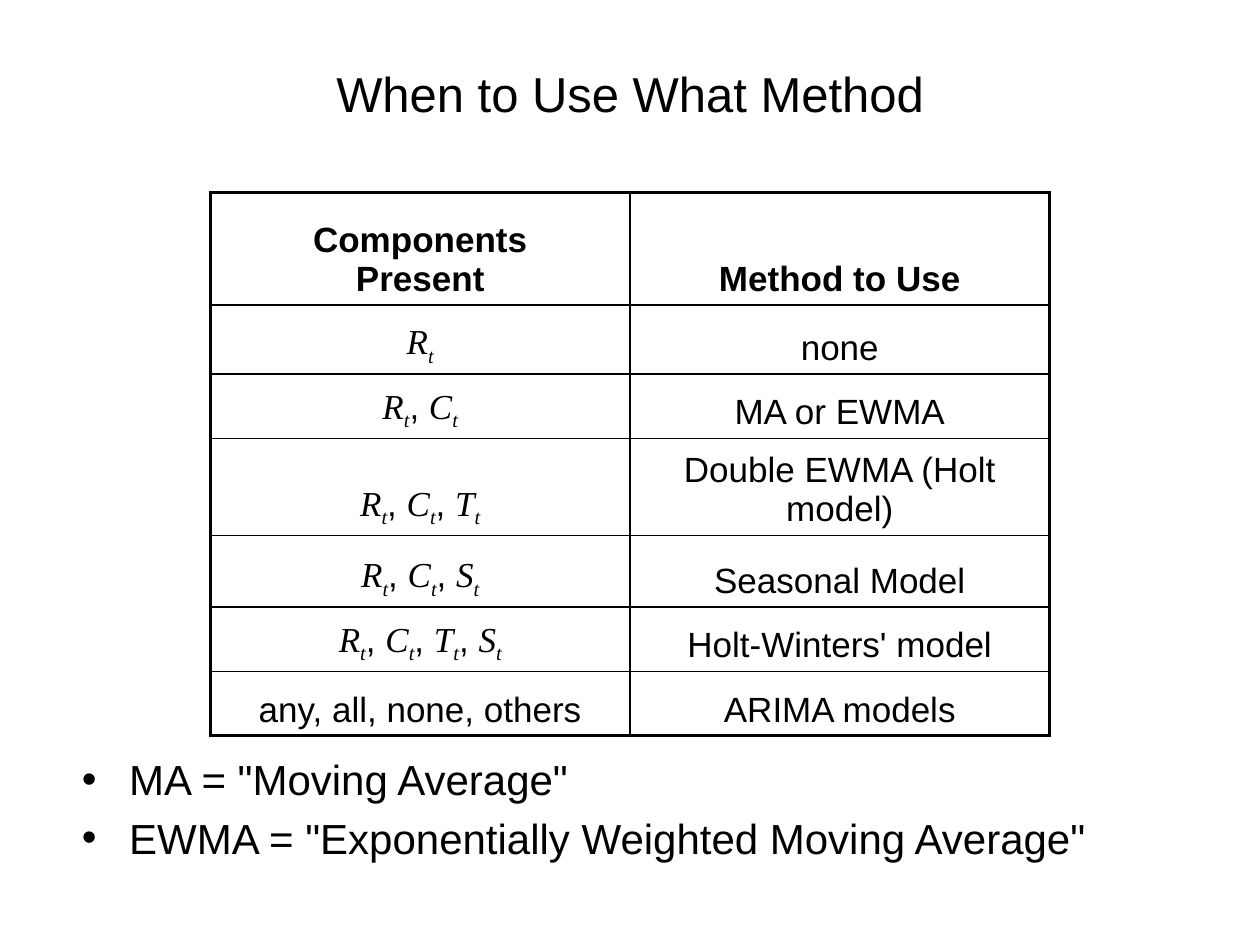
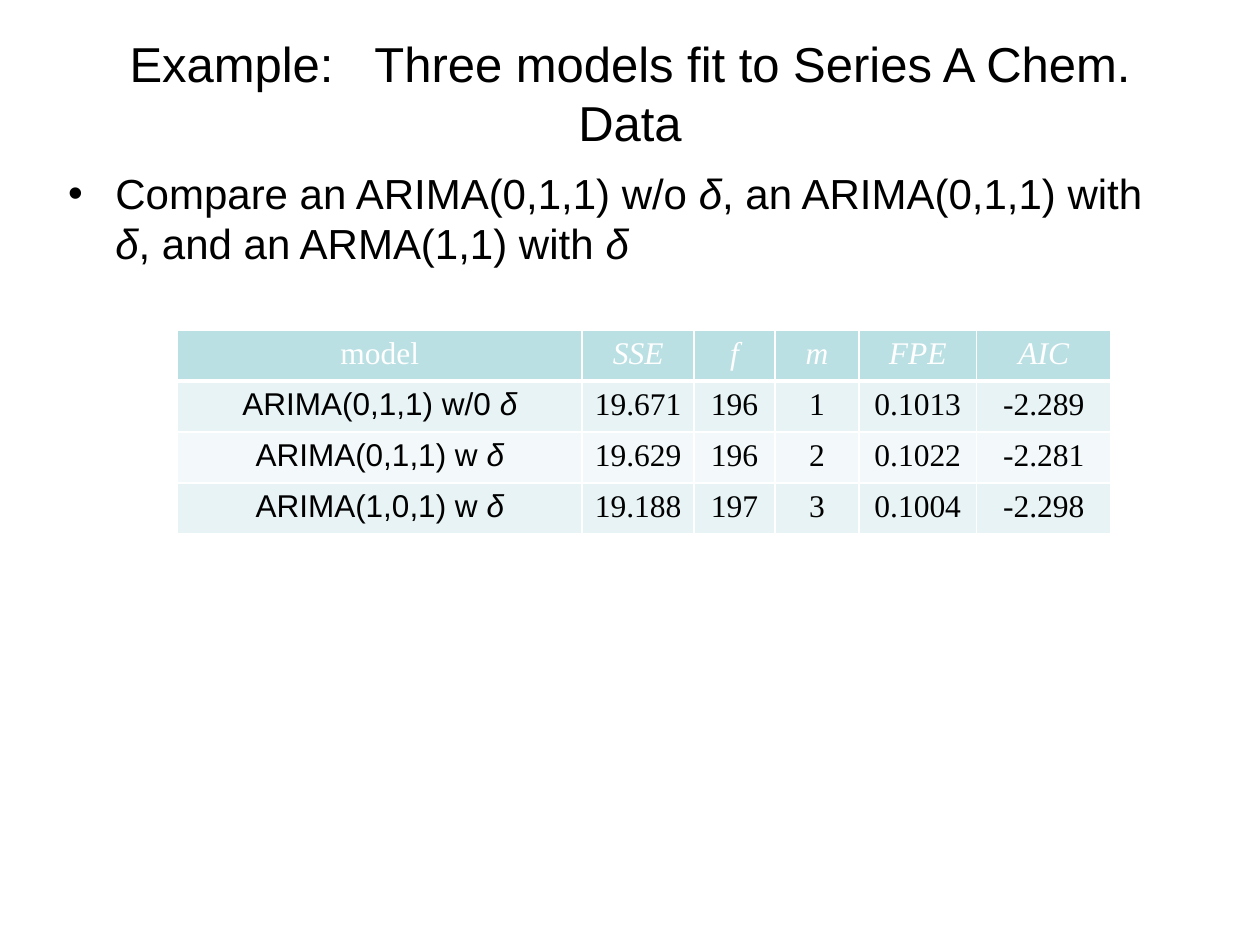
from dataclasses import dataclass

import pptx
import pptx.dml.color
import pptx.enum.text
import pptx.oxml
import pptx.oxml.ns
import pptx.util

Inches = pptx.util.Inches
Pt = pptx.util.Pt
Anchor = pptx.enum.text.MSO_ANCHOR
Align = pptx.enum.text.PP_ALIGN


@dataclass(frozen=True)
class Theme:
    sans: str = "Arial"
    serif: str = "Times New Roman"
    ink: str = "000000"
    white: str = "FFFFFF"
    header: str = "BBE0E3"
    band_dark: str = "E7F3F4"
    band_light: str = "F3F9FA"
    title_size: int = 28
    body_size: int = 24
    method_size: int = 20
    model_size: int = 18


theme = Theme()
ITALIC = {"italic": True}
BOLD = {"bold": True}
SERIF = {"name": theme.serif}
VARIABLE = {**SERIF, **ITALIC}
SUBSCRIPT = {**VARIABLE, "baseline": -25000}
WIDE_SPACE = {"spc": 1560}
HEADER = {**SERIF, "color": theme.white}
HEADER_VARIABLE = {**HEADER, **ITALIC}


def write_paragraphs(frame, paragraphs, size, alignment=None):
    """Write paragraphs, each a list of (text, format) runs."""
    for index, runs in enumerate(paragraphs):
        paragraph = frame.add_paragraph() if index else frame.paragraphs[0]
        paragraph.alignment = alignment
        for text, changes in runs:
            run = paragraph.add_run()
            run.text = text
            values = {"name": theme.sans, "size": Pt(size), "color": theme.ink, **changes}
            for key, value in values.items():
                if key == "color":
                    run.font.color.rgb = pptx.dml.color.RGBColor.from_string(value)
                elif key in ("baseline", "spc"):
                    run._r.get_or_add_rPr().set(key, str(value))
                else:
                    setattr(run.font, key, value)


def add_grid(slide, grid):
    """Add a table with its own fills and cell borders."""
    columns, heights, cells = grid["columns"], grid["heights"], grid["cells"]
    last_row, last_column = len(heights) - 1, len(columns) - 1
    table = slide.shapes.add_table(
        len(heights), len(columns), Inches(grid["left"]), Inches(grid["top"]),
        Inches(sum(columns)), Inches(sum(heights))).table
    table.first_row = table.horz_banding = False
    for column, width in zip(table.columns, columns):
        column.width = Inches(width)
    for r, height in enumerate(heights):
        table.rows[r].height = Inches(height)
        for c in range(len(columns)):
            cell = table.cell(r, c)
            cell.vertical_anchor = grid["anchor"]
            write_paragraphs(cell.text_frame, cells[r][c], grid["size"], Align.CENTER)
            if grid["fills"]:
                cell.fill.solid()
                cell.fill.fore_color.rgb = pptx.dml.color.RGBColor.from_string(grid["fills"][r])
            else:
                cell.fill.background()
            # Borders come before the fill in the cell properties
            outer, inner = grid["outer"], 1
            widths = {
                "lnL": outer if c == 0 else inner,
                "lnR": outer if c == last_column else inner,
                "lnT": outer if r == 0 else inner,
                "lnB": outer if r == last_row else grid["header_rule"] if r == 0 else inner,
            }
            properties = cell._tc.get_or_add_tcPr()
            for position, (side, width) in enumerate(widths.items()):
                properties.insert(position, pptx.oxml.parse_xml(
                    f'<a:{side} {pptx.oxml.ns.nsdecls("a")} w="{Pt(width)}"><a:solidFill>'
                    f'<a:srgbClr val="{grid["line"]}"/></a:solidFill></a:{side}>'))


# Methods table: each component is a variable with subscript t
methods = [("R", "none"), ("RC", "MA or EWMA"), ("RCT", "Double EWMA (Holt model)"),
           ("RCS", "Seasonal Model"), ("RCTS", "Holt-Winters' model")]
method_cells = [[[[("Components", BOLD)], [("Present", BOLD)]],
                 [[("Method to Use", BOLD)]]]]
for components, method in methods:
    runs = []
    for letter in components:
        if runs:
            runs.append((", ", {}))
        runs += [(letter, VARIABLE), ("t", SUBSCRIPT)]
    method_cells.append([[runs], [[(method, {})]]])
method_cells.append([[[("any, all, none, others", {})]], [[("ARIMA models", {})]]])

# Model comparison table
models = [("ARIMA(0,1,1) w/0 ", "19.671", "196", "1", "0.1013", "-2.289"),
          ("ARIMA(0,1,1) w ", "19.629", "196", "2", "0.1022", "-2.281"),
          ("ARIMA(1,0,1) w ", "19.188", "197", "3", "0.1004", "-2.298")]
model_cells = [[[[("model", HEADER)]]]
               + [[[(name, HEADER_VARIABLE)]] for name in ("SSE", "f", "m", "FPE", "AIC")]]
for model, *values in models:
    model_cells.append([[[(model, {}), ("δ", ITALIC)]]]
                       + [[[(value, SERIF)]] for value in values])

# Content of the two slides
pages = [
    {
        "title": [("When to Use What Method", {})],
        "body_at": (0.55, 5.93, 8.98, 1.09),
        "bullets": [[('MA = "Moving Average"', {})],
                    [('EWMA = "Exponentially Weighted Moving Average"', {})]],
        "grid": {"left": 1.67, "top": 1.53, "columns": [3.33] * 2,
                 "heights": [0.89, 0.55, 0.51, 0.77, 0.57, 0.51, 0.51],
                 "cells": method_cells, "size": theme.method_size, "anchor": Anchor.BOTTOM,
                 "fills": None, "line": theme.ink, "outer": 2.25, "header_rule": 1},
    },
    {
        "title": [("Example:", {}), (" ", WIDE_SPACE),
                  ("Three models fit to Series A Chem. Data", {})],
        "body_at": (0.44, 1.28, 8.98, 1.05),
        "bullets": [[("Compare an ARIMA(0,1,1) w/o ", {}), ("δ", ITALIC),
                     (", an ARIMA(0,1,1) with ", {}), ("δ", ITALIC),
                     (", and an ARMA(1,1) with ", {}), ("δ", ITALIC)]],
        "grid": {"left": 1.41, "top": 2.62, "columns": [3.21, 0.89, 0.64, 0.67, 0.93, 1.07],
                 "heights": [0.405] * 4,
                 "cells": model_cells, "size": theme.model_size, "anchor": Anchor.TOP,
                 "fills": [theme.header, theme.band_dark, theme.band_light, theme.band_dark],
                 "line": theme.white, "outer": 1, "header_rule": 3},
    },
]

presentation = pptx.Presentation()
presentation.slide_width = Inches(10)
presentation.slide_height = Inches(7.5)

for page in pages:
    slide = presentation.slides.add_slide(presentation.slide_layouts[1])
    # Title and bullet list
    parts = [
        (slide.shapes.title, (0.5, 0.3, 9, 0.87), [page["title"]],
         theme.title_size, Align.CENTER, Anchor.MIDDLE),
        (slide.placeholders[1], page["body_at"], page["bullets"],
         theme.body_size, Align.LEFT, Anchor.TOP),
    ]
    for shape, place, paragraphs, size, alignment, anchor in parts:
        for side, length in zip(("left", "top", "width", "height"), place):
            setattr(shape, side, Inches(length))
        frame = shape.text_frame
        frame.auto_size = pptx.enum.text.MSO_AUTO_SIZE.NONE
        frame.word_wrap = True
        frame.vertical_anchor = anchor
        write_paragraphs(frame, paragraphs, size, alignment)
    # Table
    add_grid(slide, page["grid"])

presentation.save("out.pptx")
